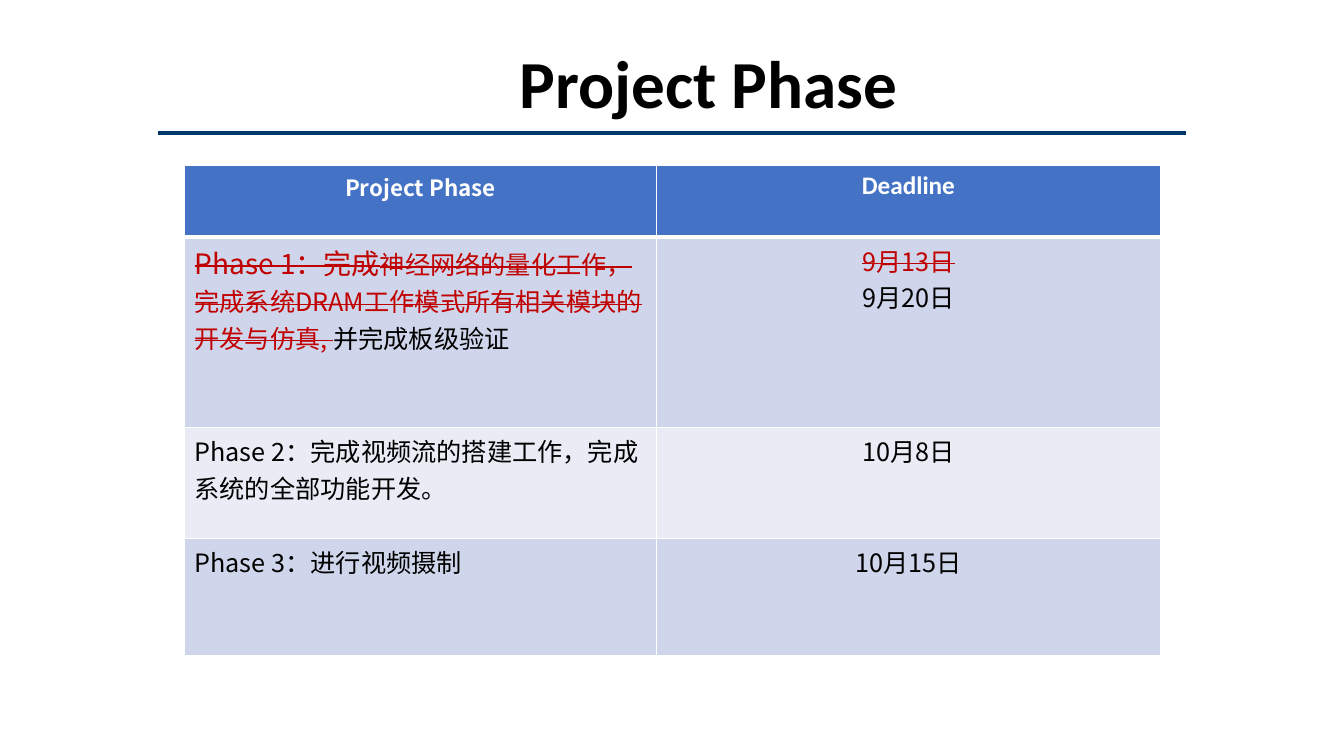
import pptx
import pptx.dml.color
import pptx.enum.shapes
import pptx.enum.text
import pptx.oxml
import pptx.oxml.ns
import pptx.util
from pptx.dml.color import RGBColor
from pptx.util import Inches

BLACK = RGBColor(0x00, 0x00, 0x00)
WHITE = RGBColor(0xFF, 0xFF, 0xFF)
RED = RGBColor(0xC0, 0x00, 0x00)
NAVY = RGBColor(0x00, 0x38, 0x6B)
HEADER_BLUE = RGBColor(0x44, 0x72, 0xC4)
BAND_DARK = RGBColor(0xCF, 0xD5, 0xEA)
BAND_LIGHT = RGBColor(0xE9, 0xEB, 0xF5)

LATIN_FONT = "Calibri"
CHINESE_FONT = "Noto Sans CJK SC"
CENTER = pptx.enum.text.PP_ALIGN.CENTER
LEFT = pptx.enum.text.PP_ALIGN.LEFT

COLUMN_WIDTHS = [4.68, 5]
ROW_HEIGHTS = [0.71, 1.89, 1.1, 1.16]
HEADERS = [("Project Phase", CHINESE_FONT, 16), ("Deadline", LATIN_FONT, 18)]

# Each cell is a list of paragraphs, each paragraph a list of (text, size, struck out).
PHASES = [
    (
        [[
            ("Phase 1：完成", 20, True),
            ("神经网络的量化工作，完成系统DRAM工作模式所有相关模块的开发与仿真, ", 18, True),
            ("并完成板级验证", 18, False),
        ]],
        [[("9月13日", 18, True)], [("9月20日", 18, False)]],
    ),
    (
        [[("Phase 2：完成视频流的搭建工作，完成系统的全部功能开发。", 18, False)]],
        [[("10月8日", 18, False)]],
    ),
    (
        [[("Phase 3：进行视频摄制", 18, False)]],
        [[("10月15日", 18, False)]],
    ),
]


def add_title(slide, left, top, width, height):
    title = slide.shapes.title
    title.left, title.top = Inches(left), Inches(top)
    title.width, title.height = Inches(width), Inches(height)
    frame = title.text_frame
    frame.text = "Project Phase"
    frame.word_wrap = False
    frame.auto_size = pptx.enum.text.MSO_AUTO_SIZE.SHAPE_TO_FIT_TEXT
    paragraph = frame.paragraphs[0]
    paragraph.alignment = LEFT
    paragraph.font.name = LATIN_FONT
    paragraph.font.size = pptx.util.Pt(48)
    paragraph.font.bold = True
    paragraph.font.color.rgb = BLACK


def add_title_rule(slide, left, top, width):
    rule = slide.shapes.add_connector(
        pptx.enum.shapes.MSO_CONNECTOR.STRAIGHT,
        Inches(left), Inches(top), Inches(left + width), Inches(top),
    )
    rule.line.color.rgb = NAVY
    rule.line.width = pptx.util.Pt(3.5)
    rule._element.spPr.append(pptx.oxml.parse_xml(
        f'<a:effectLst {pptx.oxml.ns.nsdecls("a")}/>'))


def style_cell(cell, fill, bottom=1, top=1):
    """Give the cell white borders, with bottom and top widths in points, and a fill."""
    properties = cell._tc.get_or_add_tcPr()
    for side, width in (("L", 1), ("R", 1), ("T", top), ("B", bottom)):
        properties.append(pptx.oxml.parse_xml(
            f'<a:ln{side} {pptx.oxml.ns.nsdecls("a")} w="{pptx.util.Pt(width)}">'
            f'<a:solidFill><a:srgbClr val="{WHITE}"/></a:solidFill></a:ln{side}>'))
    cell.fill.solid()
    cell.fill.fore_color.rgb = fill


def fill_header(cell, text, font, size):
    style_cell(cell, HEADER_BLUE, bottom=3)
    cell.text = text
    paragraph = cell.text_frame.paragraphs[0]
    paragraph.alignment = CENTER
    paragraph.font.name = font
    paragraph.font.size = pptx.util.Pt(size)
    paragraph.font.bold = True
    paragraph.font.color.rgb = WHITE


def fill_body(cell, paragraphs, alignment):
    frame = cell.text_frame
    for index, runs in enumerate(paragraphs):
        paragraph = frame.add_paragraph() if index else frame.paragraphs[0]
        paragraph.alignment = alignment
        paragraph.font.name = CHINESE_FONT
        paragraph.font.bold = False
        for text, size, struck in runs:
            run = paragraph.add_run()
            run.text = text
            run.font.size = pptx.util.Pt(size)
            run.font.color.rgb = RED if struck else BLACK
            if struck:
                run._r.get_or_add_rPr().set("strike", "sngStrike")


def add_phase_table(slide, left, top):
    table = slide.shapes.add_table(
        len(ROW_HEIGHTS), len(COLUMN_WIDTHS), Inches(left), Inches(top),
        Inches(sum(COLUMN_WIDTHS)), Inches(sum(ROW_HEIGHTS)),
    ).table
    for column, width in zip(table.columns, COLUMN_WIDTHS):
        column.width = Inches(width)
    for row, height in zip(table.rows, ROW_HEIGHTS):
        row.height = Inches(height)
    for column, header in enumerate(HEADERS):
        fill_header(table.cell(0, column), *header)
    for row, phase in enumerate(PHASES, start=1):
        for column, paragraphs in enumerate(phase):
            cell = table.cell(row, column)
            style_cell(cell, BAND_DARK if row % 2 else BAND_LIGHT, top=3 if row == 1 else 1)
            fill_body(cell, paragraphs, CENTER if column else LEFT)


def main():
    presentation = pptx.Presentation()
    presentation.slide_width = Inches(13.33)
    presentation.slide_height = Inches(7.5)
    slide = presentation.slides.add_slide(presentation.slide_layouts[5])
    add_title_rule(slide, 1.57, 1.32, 10.19)
    add_title(slide, 5.05, 0.35, 3.99, 0.91)
    add_phase_table(slide, 1.83, 1.64)
    presentation.save("out.pptx")


if __name__ == "__main__":
    main()
